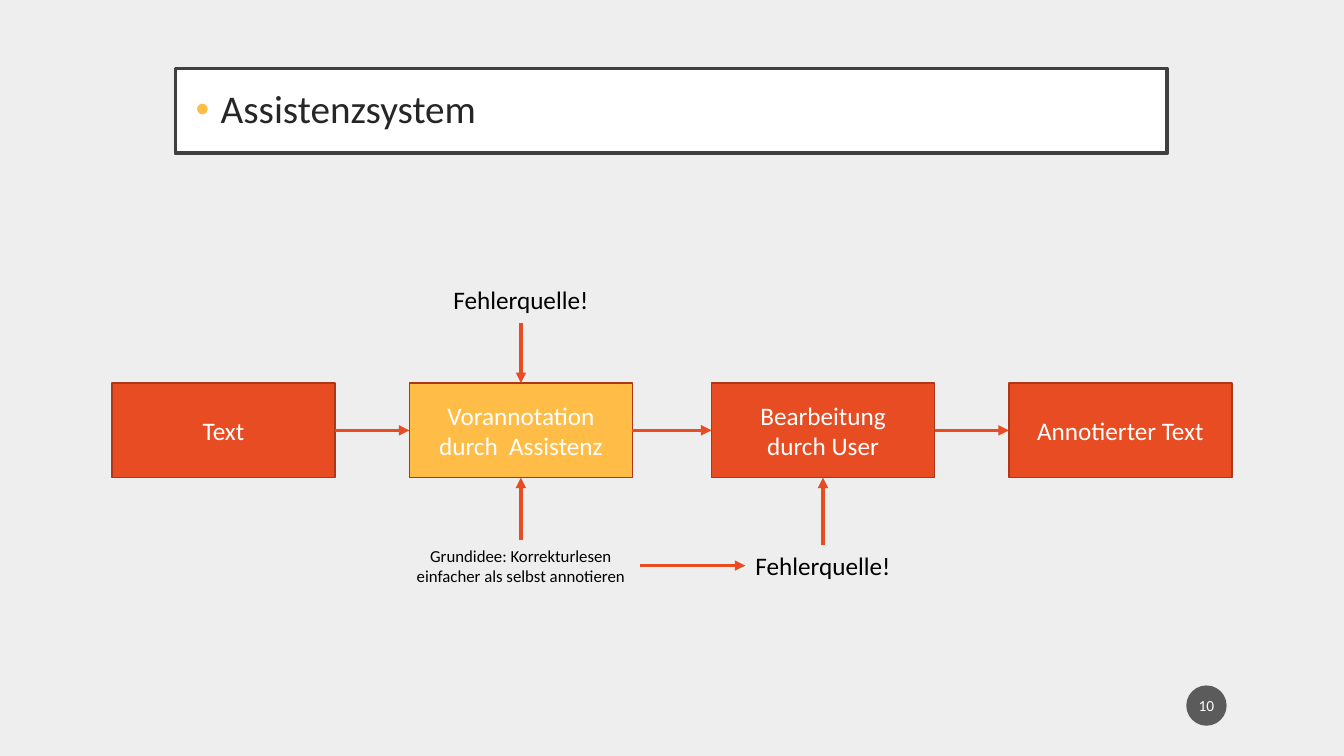
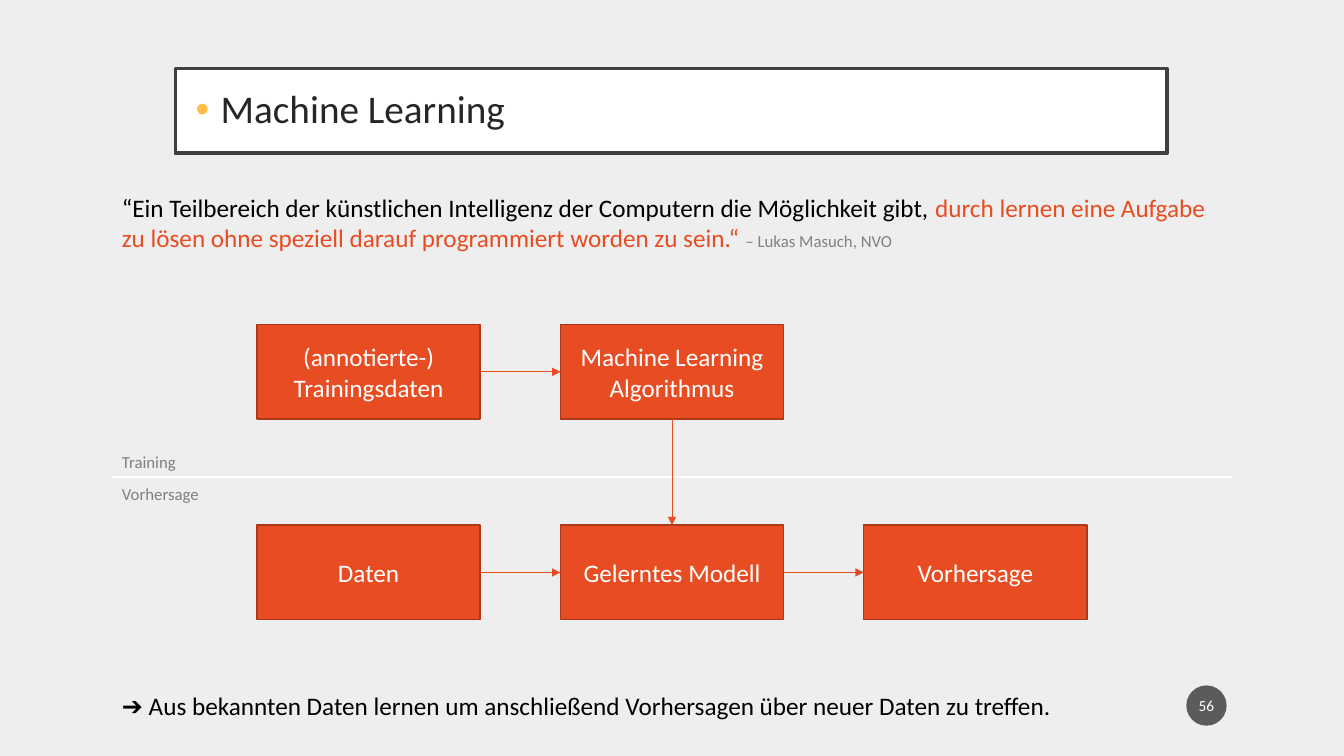
import lxml.etree
import pptx
import pptx.dml.color
import pptx.enum.shapes
import pptx.enum.text
import pptx.oxml
import pptx.oxml.ns
import pptx.util

Pt = pptx.util.Pt
qn = pptx.oxml.ns.qn
ALIGN = pptx.enum.text.PP_ALIGN
ANCHOR = pptx.enum.text.MSO_ANCHOR
SHAPE = pptx.enum.shapes.MSO_SHAPE

COLORS = {
    "background": "EDEEED", "white": "FFFFFF", "black": "000000",
    "frame": "404040", "title": "262626", "badge": "1D1D1D",
    "orange": "E84C22", "orange_edge": "AC3819", "yellow": "FFBD47",
    "gray": "808080",
}
FONT = "Calibri"
TOP, LEFT, BOTTOM, RIGHT = range(4)
STEP_WIDTH, STEP_HEIGHT = 159.4, 67.6
CONTENT_LEFT, CONTENT_WIDTH = 80, 800


def rgb(name):
    return pptx.dml.color.RGBColor.from_string(COLORS[name])


def apply_formats(target, formats):
    for attribute, value in formats.items():
        setattr(target, attribute, value)


def paint(fill, color):
    fill.solid()
    fill.fore_color.rgb = rgb(color)


def write(shape, paragraphs, align=ALIGN.LEFT, **frame_formats):
    frame = shape.text_frame
    apply_formats(frame, {"word_wrap": True, **frame_formats})
    for index, runs in enumerate(paragraphs):
        paragraph = frame.add_paragraph() if index else frame.paragraphs[0]
        paragraph.alignment = align
        for text, size, color in runs:
            run = paragraph.add_run()
            run.text = text
            apply_formats(run.font, {"name": FONT, "size": Pt(size)})
            run.font.color.rgb = rgb(color)


def add_panel(slide, kind, box, fill, edge=None, edge_width=1):
    panel = slide.shapes.add_shape(kind, *map(Pt, box))
    panel.shadow.inherit = False
    paint(panel.fill, fill)
    if edge:
        paint(panel.line.fill, edge)
        panel.line.width = Pt(edge_width)
    else:
        panel.line.fill.background()
    return panel


def add_label(slide, box, runs, align=ALIGN.LEFT):
    label = slide.shapes.add_textbox(*map(Pt, box))
    write(label, [runs], align)
    return label


def add_step(slide, left, top, text, fill="orange"):
    step = add_panel(slide, SHAPE.RECTANGLE, (left, top, STEP_WIDTH, STEP_HEIGHT),
                     fill, "orange_edge")
    write(step, [[(part, 18, "white")] for part in text.split("\n")],
          ALIGN.CENTER, vertical_anchor=ANCHOR.MIDDLE)
    return step


def add_line(slide, ends, color, width):
    line = slide.shapes.add_connector(
        pptx.enum.shapes.MSO_CONNECTOR.STRAIGHT, *map(Pt, ends))
    paint(line.line.fill, color)
    line.line.width = Pt(width)
    lxml.etree.SubElement(line._element.spPr, qn("a:effectLst"))
    return line


def add_arrow(slide, source, source_side, target, target_side, width):
    arrow = add_line(slide, (0, 0, 0, 0), "orange", width)
    arrow.begin_connect(source, source_side)
    arrow.end_connect(target, target_side)
    lxml.etree.SubElement(arrow.line._get_or_add_ln(), qn("a:tailEnd"), type="triangle")


def add_title(slide, box, text):
    title = add_panel(slide, SHAPE.RECTANGLE, box, "white", "frame", 2.5)
    margins = {f"margin_{side}": Pt(14.4) for side in ("left", "top", "right", "bottom")}
    write(title, [[(text, 28, "title")]], vertical_anchor=ANCHOR.MIDDLE, **margins)
    paragraph = title.text_frame.paragraphs[0]
    paragraph.line_spacing = 0.9
    properties = paragraph._p.get_or_add_pPr()
    properties.set("marL", str(Pt(18)))
    properties.set("indent", str(-Pt(18)))
    bullet_color = lxml.etree.SubElement(properties, qn("a:buClr"))
    lxml.etree.SubElement(bullet_color, qn("a:srgbClr"), val=COLORS["yellow"])
    lxml.etree.SubElement(properties, qn("a:buFont"), typeface="Arial")
    lxml.etree.SubElement(properties, qn("a:buChar"), char="•")


def add_page_badge(slide, box, number):
    badge = add_panel(slide, SHAPE.OVAL, box, "badge")
    badge_color = badge._element.spPr.find(qn("a:solidFill"))[0]
    lxml.etree.SubElement(badge_color, qn("a:alpha"), val="70000")
    write(badge, [[(str(number), 11, "white")]], ALIGN.CENTER,
          vertical_anchor=ANCHOR.MIDDLE, margin_left=Pt(1.4), margin_right=Pt(1.4))


def add_base_slide(deck, title, number):
    slide = deck.slides.add_slide(deck.slide_layouts[6])
    add_page_badge(slide, (847.4, 489.6, 28.8, 28.8), number)
    add_title(slide, (125.3, 49, 708.5, 60.5), title)
    return slide


def add_assistant_flow(slide, box):
    left, top, width, height = box
    step_top = top + 74.2
    outer_gap = 53
    lefts = [left, left + STEP_WIDTH + outer_gap,
             left + width - 2 * STEP_WIDTH - outer_gap, left + width - STEP_WIDTH]
    contents = [("Text", "orange"), ("Vorannotation durch  Assistenz", "yellow"),
                ("Bearbeitung\ndurch User", "orange"), ("Annotierter Text", "orange")]
    steps = [add_step(slide, step_left, step_top, text, fill)
             for step_left, (text, fill) in zip(lefts, contents)]
    assistant_center, user_center = [step_left + STEP_WIDTH / 2 for step_left in lefts[1:3]]

    def add_note(center, note_top, note_width, note_height, text, size):
        return add_label(slide, (center - note_width / 2, note_top, note_width, note_height),
                         [(text, size, "black")], ALIGN.CENTER)

    assistant_error = add_note(assistant_center, top, 154, 31, "Fehlerquelle!", 18)
    idea = add_note(assistant_center, top + height - 36, 170.6, 36,
                    "Grundidee: Korrekturlesen einfacher als selbst annotieren", 12)
    user_error = add_note(user_center, top + height - 32.5, 111, 29, "Fehlerquelle!", 18)

    links = [(source, RIGHT, target, LEFT) for source, target in zip(steps, steps[1:])]
    links += [(assistant_error, BOTTOM, steps[1], TOP), (idea, TOP, steps[1], BOTTOM),
              (user_error, TOP, steps[2], BOTTOM), (idea, RIGHT, user_error, LEFT)]
    for link in links:
        add_arrow(slide, *link, 2.5)


def add_learning_flow(slide, box):
    left, top, width, height = box
    divider = top + 109
    pitch = 216.7
    first_left = left + (width - STEP_WIDTH) / 2 - pitch
    rows = [(top, ["(annotierte-) Trainingsdaten", "Machine Learning Algorithmus"]),
            (top + height - STEP_HEIGHT, ["Daten", "Gelerntes Modell", "Vorhersage"])]
    training, forecast = [
        [add_step(slide, first_left + column * pitch, row_top, text)
         for column, text in enumerate(texts)]
        for row_top, texts in rows]
    add_line(slide, (left, divider, left + width, divider), "white", 1)
    for phase, offset in (("Training", -21.3), ("Vorhersage", 1.4)):
        add_label(slide, (left, divider + offset, 78.5, 21.6), [(phase, 12, "gray")])
    for row in (training, forecast):
        for source, target in zip(row, row[1:]):
            add_arrow(slide, source, RIGHT, target, LEFT, 0.5)
    add_arrow(slide, training[1], BOTTOM, forecast[1], TOP, 0.5)


def build_assistant_slide(deck):
    slide = add_base_slide(deck, "Assistenzsystem", 10)
    add_assistant_flow(slide, (CONTENT_LEFT, 199.4, CONTENT_WIDTH, 222.6))


def build_learning_slide(deck):
    slide = add_base_slide(deck, "Machine Learning", 56)
    add_label(slide, (CONTENT_LEFT, 134, CONTENT_WIDTH, 51), [
        ("“Ein Teilbereich der künstlichen Intelligenz der Computern die Möglichkeit gibt, ",
         18, "black"),
        ("durch lernen eine Aufgabe zu lösen ohne speziell darauf programmiert "
         "worden zu sein.“ ", 18, "orange"),
        ("– Lukas Masuch, NVO", 12, "gray"),
    ])
    add_learning_flow(slide, (CONTENT_LEFT, 231.8, CONTENT_WIDTH, 210.9))
    add_label(slide, (CONTENT_LEFT, 489.6, 754, 29), [
        ("➔ Aus bekannten Daten lernen um anschließend Vorhersagen über neuer Daten zu treffen.",
         18, "black")])


def main():
    deck = pptx.Presentation()
    apply_formats(deck, {"slide_width": Pt(960), "slide_height": Pt(540)})
    paint(deck.slide_master.background.fill, "background")
    build_assistant_slide(deck)
    build_learning_slide(deck)
    deck.save("out.pptx")


if __name__ == "__main__":
    main()
